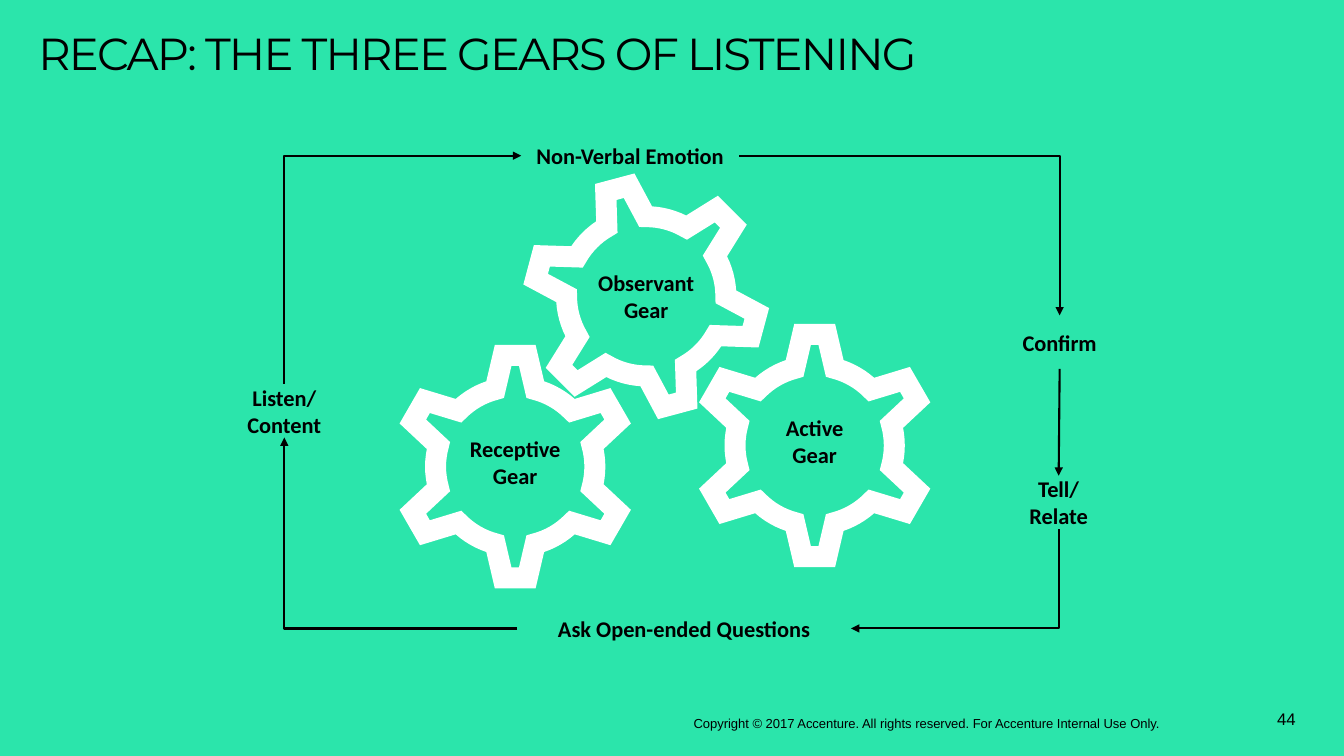
import math

import lxml.etree
import pptx
import pptx.dml.color
import pptx.enum.shapes
import pptx.enum.text
import pptx.oxml.ns
import pptx.util

Inches = pptx.util.Inches
ALIGN = pptx.enum.text.PP_ALIGN
ANCHOR = pptx.enum.text.MSO_ANCHOR
CONNECTOR = pptx.enum.shapes.MSO_CONNECTOR
COLORS = {"background": "2BE5AB", "ink": "000000", "gear": "FFFFFF"}
TOP, LEFT, BOTTOM, RIGHT = range(4)

TEETH = 6
TOOTH_STEP = 360 / TEETH
RIM_RADIUS, TIP_RADIUS = 0.79, 1.11
BASE_ANGLE, TIP_ANGLE = 14.6, 6.2
ARC_STEPS = 8

GEARS = [
    ("Receptive\nGear", (5.11, 4.63), 0, (4.56, 4.32)),
    ("Observant\nGear", (6.41, 2.94), -15, (5.86, 2.67)),
    ("Active\nGear", (8.08, 4.42), 0, (7.53, 4.11)),
]
LABELS = {
    "emotion": ("Non-Verbal Emotion", (5.17, 1.28, 2.16, 0.53)),
    "questions": ("Ask Open-ended Questions", (5.13, 5.97, 3.31, 0.53)),
    "listen": ("Listen/\nContent", (1.74, 3.81, 2.16, 0.53)),
    "tell": ("Tell/\vRelate", (9.42, 4.72, 2.16, 0.53)),
    "confirm": ("Confirm", (9.43, 3.13, 2.16, 0.53)),
}
BENDS = [
    ("emotion", RIGHT, "confirm", TOP, "tailEnd"),
    ("emotion", LEFT, "listen", TOP, "headEnd"),
    ("questions", LEFT, "listen", BOTTOM, "tailEnd"),
    ("questions", RIGHT, "tell", BOTTOM, "headEnd"),
]


def color(name):
    """Return the named palette colour."""
    return pptx.dml.color.RGBColor.from_string(COLORS[name])


def add_child(parent, tag, **attributes):
    """Append a DrawingML child element with its attributes."""
    return lxml.etree.SubElement(parent, pptx.oxml.ns.qn(tag), **attributes)


def add_text(slide, text, box, size=16, font="Calibri", bold=False, align=ALIGN.LEFT,
             anchor=ANCHOR.TOP, insets=(0, 0, 0, 0), line_spacing=None, tracking=None):
    """Add a wrapped text box, one paragraph for each line of text."""
    shape = slide.shapes.add_textbox(*map(Inches, box))
    frame = shape.text_frame
    frame.word_wrap = True
    frame.vertical_anchor = anchor
    (frame.margin_left, frame.margin_top,
     frame.margin_right, frame.margin_bottom) = map(Inches, insets)
    frame.text = text
    for paragraph in frame.paragraphs:
        paragraph.alignment = align
        if line_spacing:
            paragraph.line_spacing = line_spacing
        for run in paragraph.runs:
            run.font.size = pptx.util.Pt(size)
            run.font.name = font
            run.font.bold = bold
            run.font.color.rgb = color("ink")
            if tracking:
                run.font._element.set("spc", str(round(tracking * 100)))
    return shape


def gear_outline(center, turn):
    """Return the outline points of a gear, with its first tooth up before turning."""
    points = []
    gap = TOOTH_STEP - 2 * BASE_ANGLE
    for tooth in range(TEETH):
        middle = tooth * TOOTH_STEP + turn - 90
        corners = [(TIP_RADIUS, middle - TIP_ANGLE), (TIP_RADIUS, middle + TIP_ANGLE)]
        arc = [(RIM_RADIUS, middle + BASE_ANGLE + gap * step / ARC_STEPS)
               for step in range(ARC_STEPS + 1)]
        points += corners + arc
    return [(Inches(center[0] + radius * math.cos(math.radians(angle))),
             Inches(center[1] + radius * math.sin(math.radians(angle))))
            for radius, angle in points]


def add_gear(slide, center, turn):
    """Draw one gear as a thick outline with sharp corners."""
    first, *others = gear_outline(center, turn)
    builder = slide.shapes.build_freeform(*first)
    builder.add_line_segments(others, close=True)
    shape = builder.convert_to_shape()
    shape.shadow.inherit = False
    shape.fill.background()
    shape.line.color.rgb = color("gear")
    shape.line.width = pptx.util.Pt(15)
    add_child(shape.line._get_or_add_ln(), "a:miter", lim="800000")


def side_middle(shape, side):
    """Return the middle of one side of a shape."""
    across = {LEFT: 0, RIGHT: 2}.get(side, 1)
    down = {TOP: 0, BOTTOM: 2}.get(side, 1)
    return shape.left + shape.width * across // 2, shape.top + shape.height * down // 2


def add_arrow(slide, start, start_side, end, end_side, kind, arrow_end="tailEnd"):
    """Draw a connector with an arrowhead between the sides of two labels."""
    connector = slide.shapes.add_connector(
        kind, *side_middle(start, start_side), *side_middle(end, end_side))
    connector.line.color.rgb = color("ink")
    connector.line.width = pptx.util.Pt(1.5)
    add_child(connector.line._get_or_add_ln(), f"a:{arrow_end}", type="triangle")
    properties = connector._element.spPr
    add_child(properties, "a:effectLst")
    if kind == CONNECTOR.ELBOW:
        properties.find(pptx.oxml.ns.qn("a:prstGeom")).set("prst", "bentConnector2")
    else:
        connector.begin_connect(start, start_side)
        connector.end_connect(end, end_side)


def add_gears(slide):
    """Draw the three gears and their names."""
    for _, center, turn, _ in GEARS:
        add_gear(slide, center, turn)
    for name, _, _, corner in GEARS:
        add_text(slide, name, (*corner, 1.1, 0.62), bold=True, align=ALIGN.CENTER)


def add_cycle(slide):
    """Draw the labels around the gears and the arrows that link them."""
    labels = {
        key: add_text(slide, text, box, bold=True, align=ALIGN.CENTER, anchor=ANCHOR.MIDDLE)
        for key, (text, box) in LABELS.items()
    }
    for start, start_side, end, end_side, arrow_end in BENDS:
        add_arrow(slide, labels[start], start_side, labels[end], end_side,
                  CONNECTOR.ELBOW, arrow_end)
    add_arrow(slide, labels["confirm"], BOTTOM, labels["tell"], TOP, CONNECTOR.STRAIGHT)


def add_footer(slide):
    """Place the copyright line and the slide number."""
    add_text(slide, "Copyright © 2017 Accenture.\u00a0All rights reserved. "
             "For Accenture Internal Use Only.".replace("\u00a0", " "),
             (6.88, 7.07, 4.93, 0.22), size=9.3, font="Arial",
             anchor=ANCHOR.MIDDLE, insets=(0, 0.05, 0.1, 0.05))
    add_text(slide, "44", (12.11, 7.03, 0.84, 0.21), size=12, font="Arial",
             align=ALIGN.RIGHT, anchor=ANCHOR.MIDDLE, insets=(0.1, 0.05, 0.1, 0.05))


def main():
    """Build the slide and save it."""
    presentation = pptx.Presentation()
    presentation.slide_width = Inches(13.33)
    presentation.slide_height = Inches(7.5)
    slide = presentation.slides.add_slide(presentation.slide_layouts[6])
    slide.background.fill.solid()
    slide.background.fill.fore_color.rgb = color("background")
    add_text(slide, "RECAP: THE THREE GEARS OF LISTENING", (0.38, 0.36, 11.95, 0.85),
             size=32, font="Montserrat", insets=(0, 0, 0.14, 0),
             line_spacing=0.8, tracking=-1.3)
    add_gears(slide)
    add_cycle(slide)
    add_footer(slide)
    presentation.save("out.pptx")


if __name__ == "__main__":
    main()
